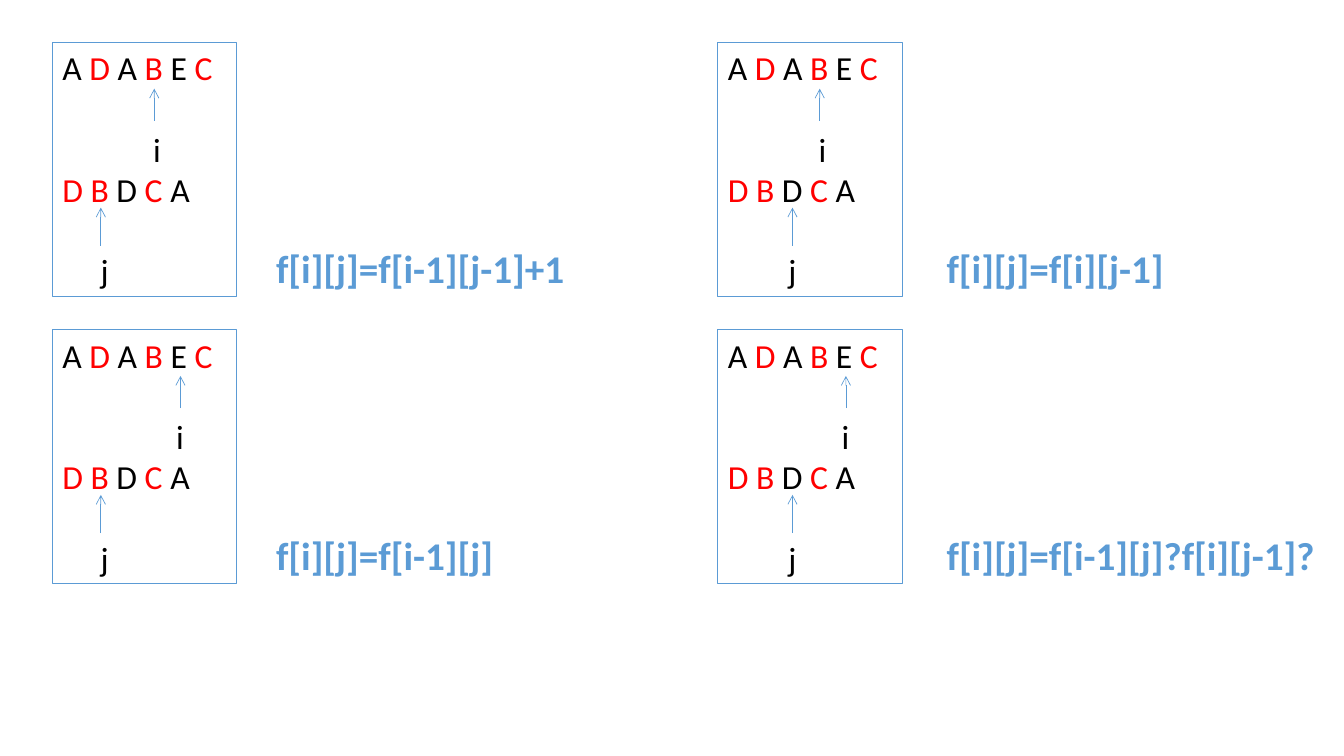
from lxml import etree
from pptx import Presentation
from pptx.dml.color import RGBColor
from pptx.enum.shapes import MSO_CONNECTOR, MSO_SHAPE
from pptx.enum.text import MSO_ANCHOR, PP_ALIGN
from pptx.oxml.ns import qn
from pptx.util import Inches, Pt

RECTANGLE = MSO_SHAPE.RECTANGLE
STRAIGHT = MSO_CONNECTOR.STRAIGHT
TOP = MSO_ANCHOR.TOP
LEFT = PP_ALIGN.LEFT

BLUE, RED, BLACK = "5B9BD5", "FF0000", "000000"
FIRST_ROW = [("A ", BLACK), ("D ", RED), ("A ", BLACK), ("B ", RED), ("E ", BLACK), ("C", RED)]
SECOND_ROW = [("D B ", RED), ("D ", BLACK), ("C ", RED), ("A", BLACK)]

COLUMNS = [0.52, 7.12]
ROWS = [0.42, 3.27]
BOX_WIDTH, BOX_HEIGHT = 1.83, 2.52
FORMULA_COLUMNS = [2.64, 9.29]
FORMULA_DROP, FORMULA_HEIGHT = 1.95, 0.57
BLANK_LINE = 29.3

I_AT_B, I_AT_E = (0.9, 1.01), (1.13, 1.27)
J_AT_B, J_AT_D = (0.38, 0.48), (0.6, 0.74)
CASES = [
    (0, 0, I_AT_B, J_AT_B, "f[i][j]=f[i-1][j-1]+1", 3.1),
    (0, 1, I_AT_E, J_AT_B, "f[i][j]=f[i-1][j]", 3.1),
    (1, 0, I_AT_B, J_AT_D, "f[i][j]=f[i][j-1]", 2.37),
    (1, 1, I_AT_E, J_AT_D, "f[i][j]=f[i-1][j]?f[i][j-1]?", 3.89),
]


def color(value):
    return RGBColor.from_string(value)


def add_arrow(page, x, bottom, top):
    arrow = page.shapes.add_connector(STRAIGHT, Inches(x), Inches(bottom), Inches(x), Inches(top))
    arrow.line.color.rgb = color(BLUE)
    arrow.line.width = Pt(0.5)
    etree.SubElement(arrow.line._get_or_add_ln(), qn("a:tailEnd"), type="arrow")
    etree.SubElement(arrow._element.spPr, qn("a:effectLst"))


deck = Presentation()
deck.slide_width, deck.slide_height = Inches(13.33), Inches(7.5)
page = deck.slides.add_slide(deck.slide_layouts[6])

for column, row, i_place, j_place, formula, formula_width in CASES:
    left, top = COLUMNS[column], ROWS[row]
    box = page.shapes.add_shape(
        RECTANGLE, Inches(left), Inches(top), Inches(BOX_WIDTH), Inches(BOX_HEIGHT))
    box.shadow.inherit = False
    box.fill.background()
    box.line.color.rgb = color(BLUE)
    box.line.width = Pt(0.75)
    frame = box.text_frame
    frame.word_wrap = True
    frame.vertical_anchor = TOP

    lines = [
        (FIRST_ROW, 0, 0),
        ([("i", BLACK)], i_place[0], BLANK_LINE),
        (SECOND_ROW, 0, 0),
        ([("j", BLACK)], j_place[0], BLANK_LINE),
    ]
    for index, (spans, indent, gap) in enumerate(lines):
        para = frame.add_paragraph() if index else frame.paragraphs[0]
        para.alignment = LEFT
        if gap:
            para.space_before = Pt(gap)
            para._p.get_or_add_pPr().set("marL", str(Inches(indent)))
        para.font.size = Pt(24)
        para.font.name = "Calibri"
        for text, ink in spans:
            span = para.add_run()
            span.text = text
            span.font.color.rgb = color(ink)

    add_arrow(page, left + i_place[1], top + 0.78, top + 0.46)
    add_arrow(page, left + j_place[1], top + 2.02, top + 1.64)

    label = page.shapes.add_textbox(
        Inches(FORMULA_COLUMNS[column]), Inches(top + FORMULA_DROP),
        Inches(formula_width), Inches(FORMULA_HEIGHT))
    label.text_frame.word_wrap = True
    para = label.text_frame.paragraphs[0]
    para.text = formula
    para.font.size = Pt(28)
    para.font.name = "Calibri"
    para.font.bold = True
    para.font.color.rgb = color(BLUE)

deck.save("out.pptx")
